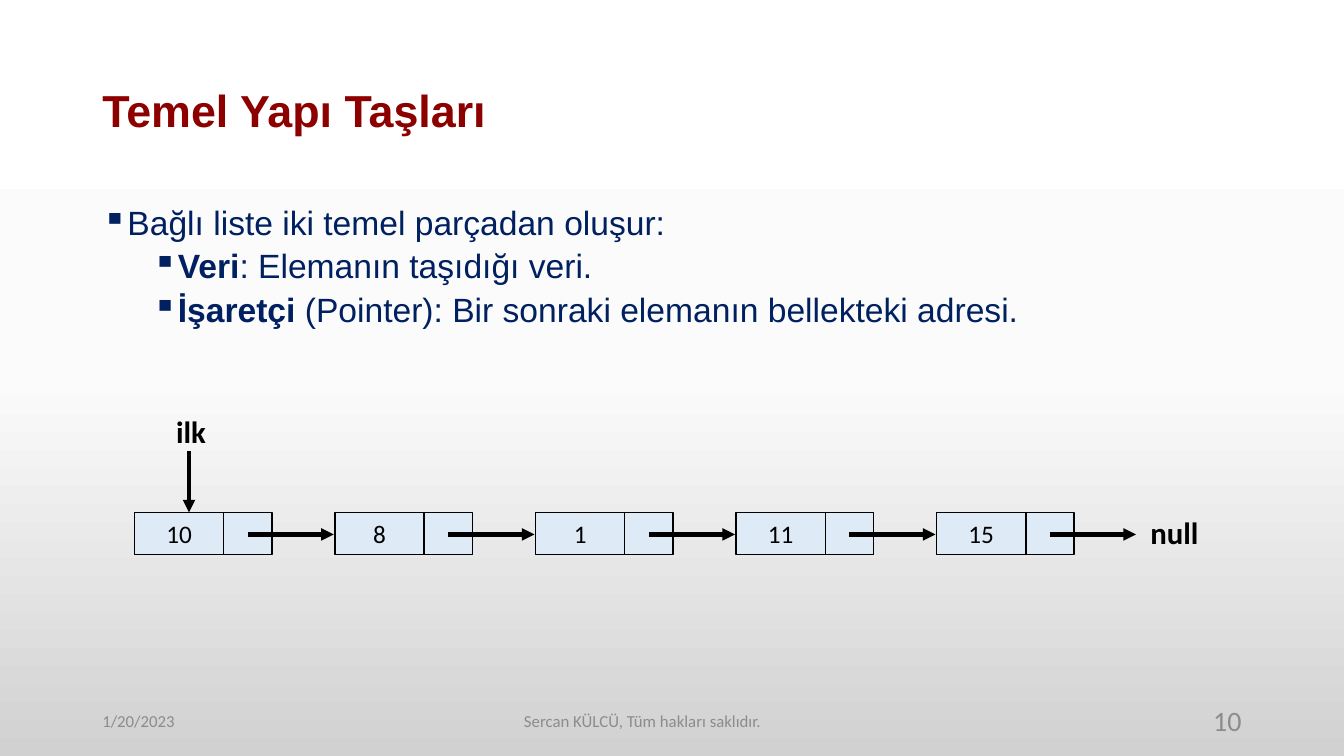
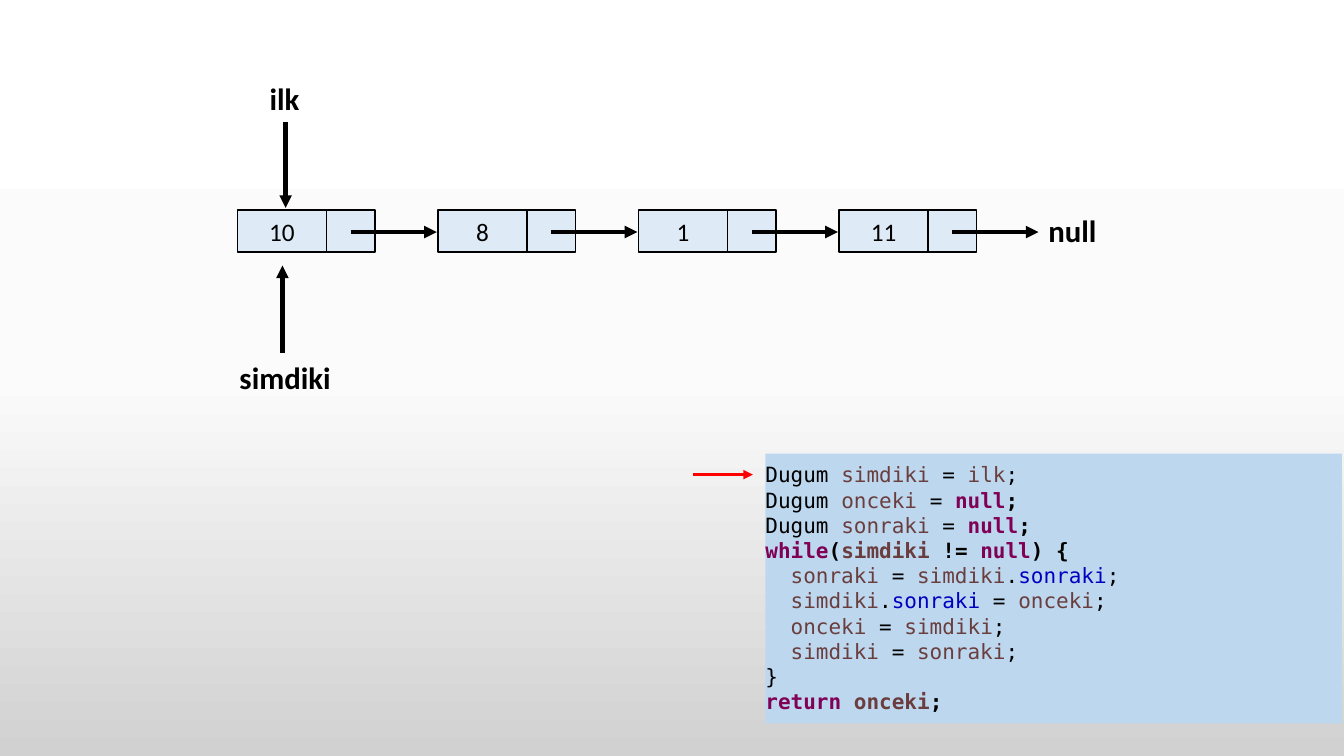
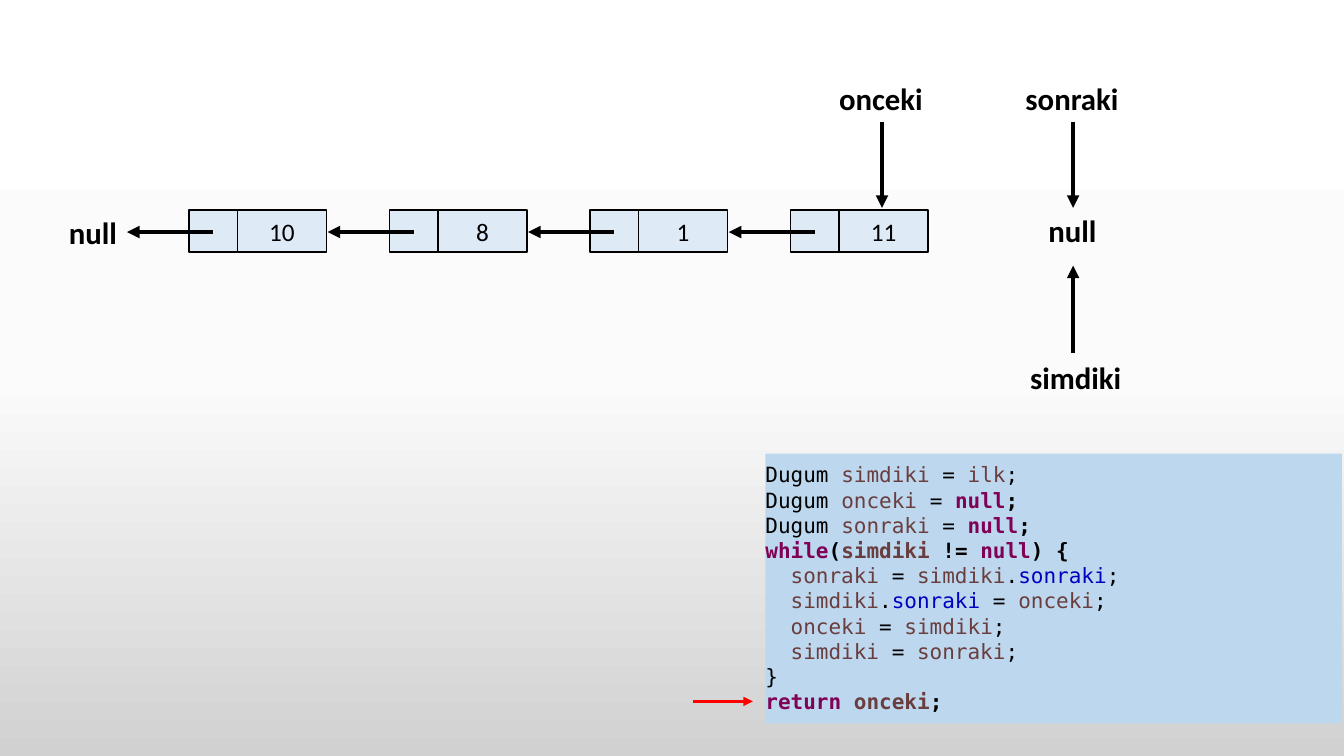
from copy import deepcopy
from itertools import groupby

from pptx import Presentation
from pptx.dml.color import RGBColor
from pptx.enum.shapes import MSO_CONNECTOR as Connector, MSO_SHAPE as Shape
from pptx.enum.text import MSO_ANCHOR as Anchor, PP_ALIGN as Align
from pptx.oxml.ns import qn
from pptx.oxml.xmlchemy import OxmlElement
from pptx.util import Emu, Pt

# Shared look
SCALE = 9525  # EMU in one px
COLORS = {
    "title": "8C0000", "body": "002060", "footer": "8C8C8C", "ink": "000000",
    "node": "DEEBF7", "code": "BDD7EE", "marker": "FF0000",
    "keyword": "7F0055", "variable": "6A3E3E", "field": "0000C0",
}
BACKGROUND = [(0, "FFFFFF"), (0.5, "FBFBFB"), (1, "D1D1D1")]
FONTS = {
    "title": {"name": "Arial", "size": Pt(32), "bold": True},
    "body": {"name": "Arial", "size": Pt(24)},
    "footer": {"name": "Calibri", "size": Pt(12)},
    "number": {"name": "Calibri", "size": Pt(20)},
    "value": {"name": "Calibri", "size": Pt(18)},
    "label": {"name": "Calibri", "size": Pt(22), "bold": True},
    "code": {"name": "DejaVu Sans Mono", "size": Pt(15)},
}

# Linked list geometry
VALUE_W, POINTER_W, NODE_H = 85, 46, 40
NODE_STEP, LINK_LENGTH, LINK_DROP = 191, 82, 21
LABEL_H = 45
LABEL_WIDTHS = {"ilk": 48, "null": 65, "simdiki": 107, "onceki": 100, "sonraki": 108}

# Code listing
CODE_BOX = (729, 432, 549, 257)
FIRST_LINE_Y, LINE_STEP = 452, 24
KEYWORDS = {"while", "null", "return"}
TYPES = {"Dugum"}
CODE = """Dugum simdiki = ilk;
Dugum onceki = null;
Dugum sonraki = null;
while(simdiki != null) {
  sonraki = simdiki.sonraki;
  simdiki.sonraki = onceki;
  onceki = simdiki;
  simdiki = sonraki;
}
return onceki;""".split("\n")


def px(*lengths):
    return [Emu(length * SCALE) for length in lengths]


def rgb(color):
    return RGBColor.from_string(COLORS[color])


def set_all(target, values):
    for name, value in values.items():
        setattr(target, name, value)


def add_span(paragraph, text, style, color="ink", **extra):
    span = paragraph.add_run()
    span.text = text
    set_all(span.font, {**FONTS[style], **extra})
    span.font.color.rgb = rgb(color)


def add_text(page, area, text, style, color="ink", align=Align.LEFT,
             anchor=Anchor.MIDDLE, wrap=True):
    box = page.shapes.add_textbox(*px(*area))
    set_all(box.text_frame, {"word_wrap": wrap, "vertical_anchor": anchor})
    para = box.text_frame.paragraphs[0]
    para.alignment = align
    if text:
        add_span(para, text, style, color)
    return box.text_frame


def add_rect(page, area, fill, outlined=True):
    box = page.shapes.add_shape(Shape.RECTANGLE, *px(*area))
    box.shadow.inherit = False
    box.fill.solid()
    box.fill.fore_color.rgb = rgb(fill)
    if outlined:
        box.line.color.rgb = rgb("ink")
        box.line.width = Pt(1)
    else:
        box.line.fill.background()
    return box


def add_arrow(page, start, end, color="ink", width=3):
    arrow = page.shapes.add_connector(Connector.STRAIGHT, *px(*start, *end))
    arrow.line.color.rgb = rgb(color)
    arrow.line.width = Pt(width)
    properties = arrow.element.spPr
    head = OxmlElement("a:tailEnd")
    head.set("type", "triangle")
    properties.find(qn("a:ln")).append(head)
    properties.append(OxmlElement("a:effectLst"))


def add_label(page, center, top, text):
    width = LABEL_WIDTHS[text]
    add_text(page, (center - width // 2, top, width, LABEL_H), text, "label",
             align=Align.CENTER, anchor=Anchor.TOP, wrap=False)


def add_linked_list(page, left, top, values, backward=False):
    """Draw the nodes with their links; left is the first value cell."""
    pointer_shift = -POINTER_W if backward else VALUE_W
    reach = -LINK_LENGTH if backward else LINK_LENGTH
    lefts = [left + NODE_STEP * index for index in range(len(values))]
    for x, value in zip(lefts, values):
        cell = add_rect(page, (x, top, VALUE_W, NODE_H), "node")
        para = cell.text_frame.paragraphs[0]
        para.alignment = Align.CENTER
        add_span(para, str(value), "value")
        add_rect(page, (x + pointer_shift, top, POINTER_W, NODE_H), "node")
    for x in lefts:
        start = x + pointer_shift + POINTER_W // 2
        y = top + LINK_DROP
        add_arrow(page, (start, y), (start + reach, y))


def add_bullets(page, area, items):
    frame = add_text(page, area, "", "body", anchor=Anchor.TOP)
    for index, (level, spans) in enumerate(items):
        para = frame.add_paragraph() if index else frame.paragraphs[0]
        properties = para._p.get_or_add_pPr()
        properties.set("marL", str((24 + 48 * level) * SCALE))
        properties.set("indent", str(-24 * SCALE))
        bullet = OxmlElement("a:buChar")
        bullet.set("char", "▪")
        properties.append(bullet)
        set_all(para, {"level": level, "alignment": Align.JUSTIFY, "line_spacing": 0.9,
                       "space_before": Pt(5 if index else 0)})
        for text, bold in spans:
            add_span(para, text, "body", "body", bold=bold)


def add_code_line(para, line):
    """Colour the words by role; bold runs from a keyword to the line end."""
    bold, before = False, ""
    for is_word, letters in groupby(line, str.isalnum):
        word = "".join(letters)
        color = "ink"
        if word in KEYWORDS:
            color, bold = "keyword", True
        elif is_word and word not in TYPES:
            color = "field" if before == "." else "variable"
        add_span(para, word, "code", color, bold=bold)
        before = word


def add_code(page, current):
    """Draw the listing and mark the line with index current."""
    y = FIRST_LINE_Y + LINE_STEP * current
    add_arrow(page, (660, y), (717, y), "marker", 2.25)
    frame = add_rect(page, CODE_BOX, "code", outlined=False).text_frame
    set_all(frame, {"margin_left": 0, "margin_right": 0, "margin_top": Emu(8 * SCALE),
                    "margin_bottom": Emu(8 * SCALE), "vertical_anchor": Anchor.TOP,
                    "word_wrap": True})
    for index, line in enumerate(CODE):
        para = frame.add_paragraph() if index else frame.paragraphs[0]
        para.alignment = Align.LEFT
        add_code_line(para, line)


def add_pointer_above(page, x, text):
    add_label(page, x - 1, 71, text)
    add_arrow(page, (x, 116), (x, 198))


def add_pointer_below(page, x, text):
    add_label(page, x + 2, 337, text)
    add_arrow(page, (x, 336), (x, 253))


def set_background(master):
    fill = master.background.fill
    fill.gradient()
    fill.gradient_angle = 270
    stops = master.element.find(".//" + qn("a:gsLst"))
    stops.append(deepcopy(stops[0]))
    for stop, (position, color) in zip(fill.gradient_stops, BACKGROUND):
        stop.position = position
        stop.color.rgb = RGBColor.from_string(color)


def build_parts(page):
    title = add_text(page, (88, 38, 1104, 139), "Temel Yapı Taşları", "title", "title")
    title.paragraphs[0].line_spacing = 0.9
    add_bullets(page, (88, 192, 1104, 492), [
        (0, [("Bağlı liste iki temel parçadan oluşur:", False)]),
        (1, [("Veri", True), (": Elemanın taşıdığı veri.", False)]),
        (1, [("İşaretçi", True),
             (" (Pointer): Bir sonraki elemanın bellekteki adresi.", False)]),
    ])
    for left, width, text, style, align in [
        (88, 288, "1/20/2023", "footer", Align.LEFT),
        (248, 728, "Sercan KÜLCÜ, Tüm hakları saklıdır.", "footer", Align.CENTER),
        (904, 288, "10", "number", Align.RIGHT),
    ]:
        add_text(page, (left, 667, width, 38), text, style, "footer", align)
    add_linked_list(page, 128, 488, [10, 8, 1, 11, 15])
    add_label(page, 182, 388, "ilk")
    add_arrow(page, (180, 430), (180, 488))
    add_label(page, 1118, 485, "null")


def build_start(page):
    add_linked_list(page, 226, 200, [10, 8, 1, 11])
    add_label(page, 1021, 197, "null")
    add_pointer_above(page, 272, "ilk")
    add_pointer_below(page, 269, "simdiki")
    add_code(page, 0)


def build_reversed(page):
    add_linked_list(page, 226, 200, [10, 8, 1, 11], backward=True)
    add_label(page, 88, 199, "null")
    add_label(page, 1021, 197, "null")
    add_pointer_above(page, 840, "onceki")
    add_pointer_above(page, 1022, "sonraki")
    add_pointer_below(page, 1022, "simdiki")
    add_code(page, len(CODE) - 1)


def main():
    deck = Presentation()
    deck.slide_width, deck.slide_height = px(1280, 720)
    set_background(deck.slide_master)
    blank = deck.slide_layouts[6]
    for build in (build_parts, build_start, build_reversed):
        build(deck.slides.add_slide(blank))
    deck.save("out.pptx")


if __name__ == "__main__":
    main()
